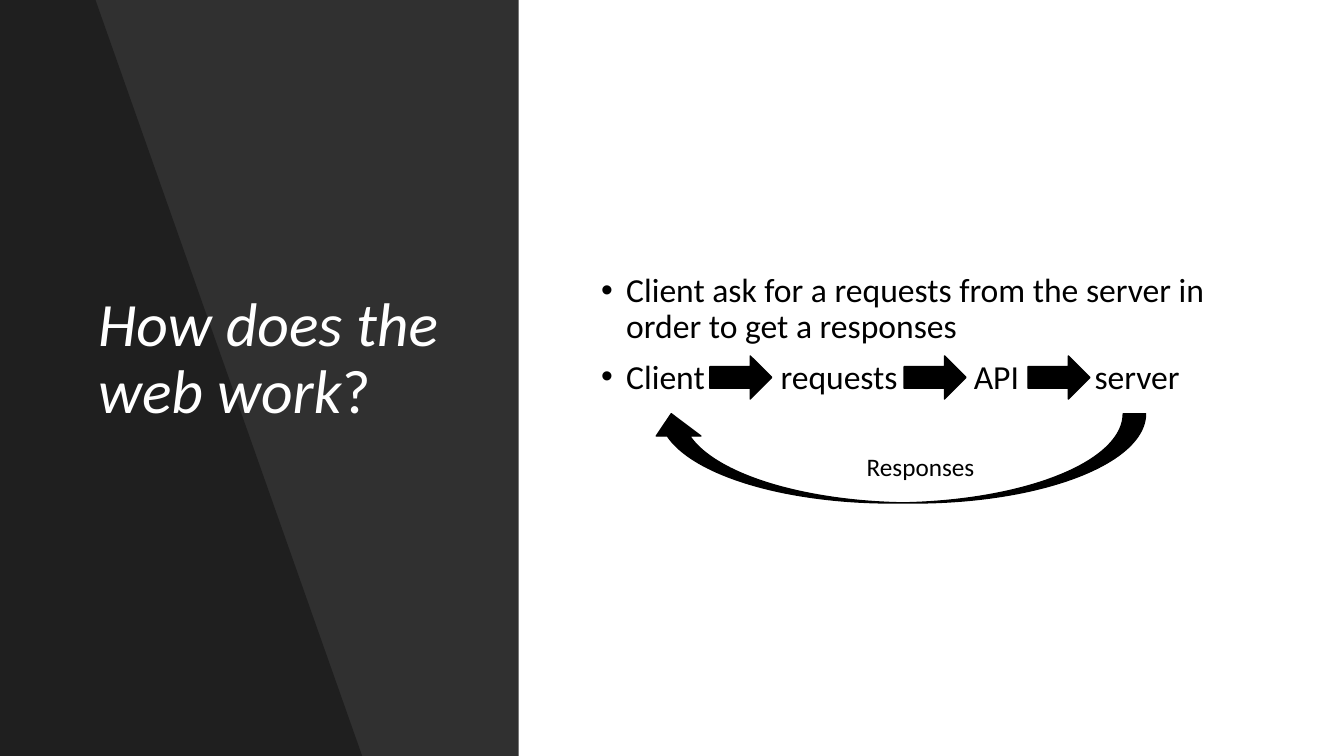
"""Build the slide that explains how a client and a server talk."""
from dataclasses import dataclass, field
from typing import Any

from lxml.etree import SubElement
from pptx import Presentation
from pptx.dml.color import RGBColor
from pptx.enum.shapes import MSO_SHAPE
from pptx.enum.text import MSO_ANCHOR
from pptx.oxml.ns import qn
from pptx.util import Pt

PX = 9525
SLIDE_WIDTH, SLIDE_HEIGHT = 1280, 720
BLACK = RGBColor(0, 0, 0)
WHITE = RGBColor(255, 255, 255)
FONT = "Calibri"
BULLET_INDENT = 24
WORD_TABS = (171, 355, 470)
ARROW_LEFTS = (676, 861, 979)


@dataclass(frozen=True)
class Panel:
    points: tuple[tuple[int, int], ...]
    opacity: int


@dataclass(frozen=True)
class Arrow:
    kind: MSO_SHAPE
    left: int
    top: int
    width: int
    height: int
    rotation: int = 0


@dataclass(frozen=True)
class Span:
    text: str
    italic: bool = False


@dataclass(frozen=True)
class Line:
    spans: tuple[Span, ...]
    bullet: bool = False
    tabs: tuple[int, ...] = ()
    format: dict[str, Any] = field(default_factory=dict)


@dataclass(frozen=True)
class TextBlock:
    left: int
    top: int
    width: int
    height: int
    size: int
    color: RGBColor
    lines: tuple[Line, ...]
    anchor: MSO_ANCHOR = MSO_ANCHOR.MIDDLE


TIGHT = {"line_spacing": 0.9}
BULLETED = {"line_spacing": 0.9, "space_before": Pt(10)}

PANELS = (
    Panel(((0, 0), (494, 0), (494, SLIDE_HEIGHT), (0, SLIDE_HEIGHT)), 81),
    Panel(((0, 0), (91, 0), (345, SLIDE_HEIGHT), (0, SLIDE_HEIGHT)), 35),
)
ARROWS = (
    *(Arrow(MSO_SHAPE.RIGHT_ARROW, left, 339, 59, 41) for left in ARROW_LEFTS),
    Arrow(MSO_SHAPE.CURVED_LEFT_ARROW, 812, 200, 85, 473, 90),
)
TITLE = TextBlock(84, 67, 345, 552, 44, WHITE, (
    Line((Span("How does the web work", True), Span("?")), format=TIGHT),
))
BODY = TextBlock(563, 67, 633, 504, 24, BLACK, (
    Line((Span("Client ask for a requests from the server in order to get a responses"),),
         True, format=BULLETED),
    Line((Span("Client\trequests\tAPI\tserver"),), True, WORD_TABS, BULLETED),
))
RESPONSES = TextBlock(816, 425, 128, 38, 18, BLACK, (Line((Span("Responses"),)),), MSO_ANCHOR.TOP)


def apply_format(target: Any, values: dict[str, Any]) -> None:
    """Set each named attribute on the target."""
    for name, value in values.items():
        setattr(target, name, value)


def draw_panel(page: Any, panel: Panel) -> None:
    """Draw a translucent black polygon."""
    builder = page.shapes.build_freeform(*panel.points[0], scale=PX)
    builder.add_line_segments(panel.points[1:], close=True)
    shape = builder.convert_to_shape()
    shape.shadow.inherit = False
    shape.fill.solid()
    shape.fill.fore_color.rgb = BLACK
    shape.line.fill.background()
    color = shape.fill._xPr.find(qn("a:solidFill"))[0]
    SubElement(color, qn("a:alpha"), val=str(panel.opacity * 1000))


def draw_arrow(page: Any, arrow: Arrow) -> None:
    """Draw a solid black block arrow."""
    shape = page.shapes.add_shape(
        arrow.kind, arrow.left * PX, arrow.top * PX, arrow.width * PX, arrow.height * PX)
    shape.rotation = arrow.rotation
    shape.shadow.inherit = False
    shape.fill.solid()
    shape.fill.fore_color.rgb = BLACK
    shape.line.color.rgb = BLACK
    shape.line.width = Pt(1)


def add_marks(para: Any, line: Line) -> None:
    """Give a paragraph its bullet and tab stops."""
    properties = para._p.get_or_add_pPr()
    if line.bullet:
        properties.set("marL", str(BULLET_INDENT * PX))
        properties.set("indent", str(-BULLET_INDENT * PX))
        SubElement(properties, qn("a:buFont"), typeface="Arial")
        SubElement(properties, qn("a:buChar"), char="•")
    if line.tabs:
        stops = SubElement(properties, qn("a:tabLst"))
        for position in line.tabs:
            SubElement(stops, qn("a:tab"), pos=str(position * PX), algn="l")


def draw_text(page: Any, block: TextBlock) -> None:
    """Draw a wrapped text box with its paragraphs."""
    box = page.shapes.add_textbox(
        block.left * PX, block.top * PX, block.width * PX, block.height * PX)
    frame = box.text_frame
    apply_format(frame, {"word_wrap": True, "vertical_anchor": block.anchor})
    for index, line in enumerate(block.lines):
        para = frame.add_paragraph() if index else frame.paragraphs[0]
        apply_format(para, line.format)
        add_marks(para, line)
        for span in line.spans:
            run = para.add_run()
            run.text = span.text
            apply_format(run.font, {"name": FONT, "size": Pt(block.size), "italic": span.italic})
            run.font.color.rgb = block.color


def main() -> None:
    """Build and save the deck."""
    deck = Presentation()
    apply_format(deck, {"slide_width": SLIDE_WIDTH * PX, "slide_height": SLIDE_HEIGHT * PX})
    page = deck.slides.add_slide(deck.slide_layouts[6])
    for panel in PANELS:
        draw_panel(page, panel)
    for block in (TITLE, BODY):
        draw_text(page, block)
    for arrow in ARROWS:
        draw_arrow(page, arrow)
    draw_text(page, RESPONSES)
    deck.save("out.pptx")


if __name__ == "__main__":
    main()
